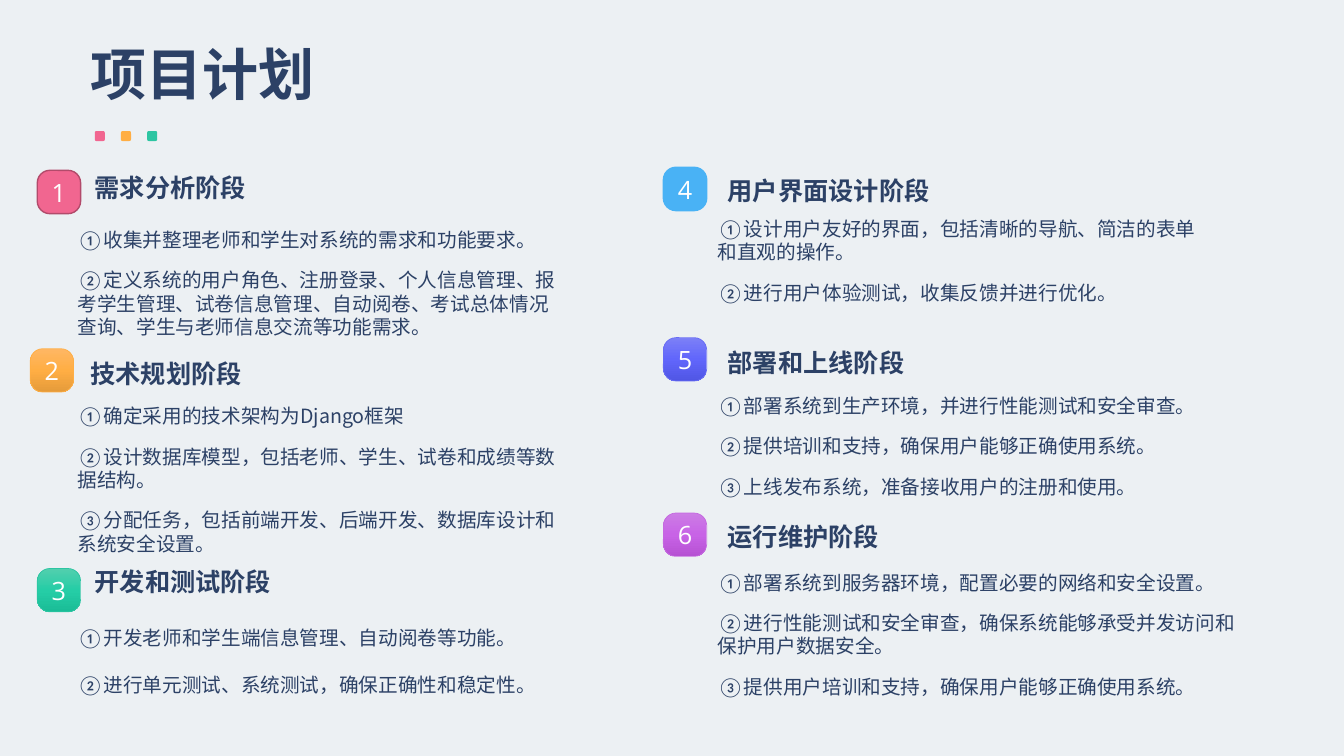
import copy

import pptx
import pptx.dml.color
import pptx.enum.dml
import pptx.enum.shapes
import pptx.enum.text
import pptx.oxml
import pptx.oxml.ns
import pptx.util

RGB = pptx.dml.color.RGBColor
ANCHOR = pptx.enum.text.MSO_ANCHOR
ALIGN = pptx.enum.text.PP_ALIGN

PX = 9144  # 100 px to the inch
NAVY = RGB(0x2C, 0x41, 0x66)
WHITE = RGB(0xFF, 0xFF, 0xFF)
PAPER = RGB(0xEC, 0xF0, 0xF3)
PINK = RGB(0xF1, 0x66, 0x90)
PINK_EDGE = RGB(0xB2, 0x4B, 0x6B)
AMBER = RGB(0xFF, 0xAE, 0x44)
GREEN = RGB(0x2D, 0xC5, 0xA2)
BLUE = RGB(0x49, 0xB2, 0xF5)
INDIGO = RGB(0x68, 0x6D, 0xF4)
PURPLE = RGB(0xC5, 0x69, 0xE0)
AMBER_FADE = [RGB(0xFF, 0xB7, 0x64), AMBER, RGB(0xE5, 0x9B, 0x3A)]
GREEN_FADE = [RGB(0x53, 0xCF, 0xAE), RGB(0x25, 0xCD, 0xA6), RGB(0x1A, 0xBD, 0x97)]
INDIGO_FADE = [RGB(0x7C, 0x80, 0xF7), RGB(0x61, 0x66, 0xFB), RGB(0x50, 0x56, 0xE5)]
PURPLE_FADE = [RGB(0xCC, 0x7D, 0xE5), RGB(0xC8, 0x63, 0xE6), RGB(0xB6, 0x51, 0xD3)]

TITLE = "项目计划"
DOTS = [PINK, AMBER, GREEN]
BADGE = 43
HEADING_SIZE = (363, 40)
CJK_FONT = "Noto Sans CJK SC"

# heading, its left and top, body box, line spacing, marker font, body lines
PHASES = [
    ("需求分析阶段", (84, 166), (67, 221, 501, 121), 1.0, CJK_FONT, [
        "①收集并整理老师和学生对系统的需求和功能要求。",
        "②定义系统的用户角色、注册登录、个人信息管理、报考学生管理、试卷信息管理、"
        "自动阅卷、考试总体情况查询、学生与老师信息交流等功能需求。"]),
    ("技术规划阶段", (80, 351), (67, 396, 501, 161), 1.0, CJK_FONT, [
        "①确定采用的技术架构为Django框架",
        "②设计数据库模型，包括老师、学生、试卷和成绩等数据结构。",
        "③分配任务，包括前端开发、后端开发、数据库设计和系统安全设置。"]),
    ("开发和测试阶段", (84, 557), (67, 609, 524, 88), 1.3, CJK_FONT, [
        "①开发老师和学生端信息管理、自动阅卷等功能。",
        "②进行单元测试、系统测试，确保正确性和稳定性。"]),
    ("用户界面设计阶段", (712, 169), (702, 210, 501, 97), 1.0, "Calibri", [
        "①设计用户友好的界面，包括清晰的导航、简洁的表单和直观的操作。",
        "②进行用户体验测试，收集反馈并进行优化。"]),
    ("部署和上线阶段", (712, 340), (702, 386, 525, 114), 1.0, "Calibri", [
        "①部署系统到生产环境，并进行性能测试和安全审查。",
        "②提供培训和支持，确保用户能够正确使用系统。",
        "③上线发布系统，准备接收用户的注册和使用。"]),
    ("运行维护阶段", (712, 512), (702, 561, 548, 138), 1.0, "Calibri", [
        "①部署系统到服务器环境，配置必要的网络和安全设置。",
        "②进行性能测试和安全审查，确保系统能够承受并发访问和保护用户数据安全。",
        "③提供用户培训和支持，确保用户能够正确使用系统。"]),
]

# left, top, fill colours, line colour, line width
BADGES = [
    (37, 169, [PINK], PINK_EDGE, 1),
    (30, 346, AMBER_FADE, AMBER, 0.5),
    (37, 564, GREEN_FADE, GREEN, 0.5),
    (658, 166, [BLUE], BLUE, 1),
    (658, 335, INDIGO_FADE, INDIGO, 0.5),
    (658, 509, PURPLE_FADE, PURPLE, 0.5),
]


def emu(*lengths):
    return [n * PX for n in lengths]


def add_run(p, text, *, font, size, color=NAVY, bold=False):
    r = p.add_run()
    r.text = text
    r.font.name = font
    r.font.size = pptx.util.Pt(size)
    r.font.bold = bold
    r.font.color.rgb = color
    ea = pptx.oxml.parse_xml(
        f'<a:ea {pptx.oxml.ns.nsdecls("a")} typeface="Calibri"/>')
    r.font._element.find(pptx.oxml.ns.qn("a:latin")).addnext(ea)


def write(tf, lines, *, font, marker=None, align=ALIGN.LEFT, anchor=ANCHOR.TOP,
          spacing=1.0, **style):
    """Fill a text frame; a marker font sets the first character of each line."""
    tf.word_wrap = True
    tf.vertical_anchor = anchor
    for i, line in enumerate(lines):
        p = tf.add_paragraph() if i else tf.paragraphs[0]
        p.alignment = align
        p.line_spacing = spacing
        p.space_before = pptx.util.Pt(12 if i else 0)
        if marker and marker != font:
            add_run(p, line[0], font=marker, **style)
            line = line[1:]
        add_run(p, line, font=font, **style)


def add_text(slide, box, lines, **style):
    tf = slide.shapes.add_textbox(*emu(*box)).text_frame
    write(tf, lines, **style)
    tf.auto_size = pptx.enum.text.MSO_AUTO_SIZE.SHAPE_TO_FIT_TEXT


def fill_shape(sp, colors):
    """Fill with one colour, or with an even top-to-bottom gradient."""
    if len(colors) == 1:
        sp.fill.solid()
        sp.fill.fore_color.rgb = colors[0]
        return
    sp.fill.gradient()
    sp.fill.gradient_angle = 270
    stops = sp._element.spPr.find(
        f'{pptx.oxml.ns.qn("a:gradFill")}/{pptx.oxml.ns.qn("a:gsLst")}')
    while len(stops) < len(colors):
        stops.append(copy.deepcopy(stops[-1]))
    for i, (stop, color) in enumerate(zip(sp.fill.gradient_stops, colors)):
        stop.color.rgb = color
        stop.position = i / (len(colors) - 1)


def add_square(slide, left, top, side, colors, corner):
    sp = slide.shapes.add_shape(
        pptx.enum.shapes.MSO_SHAPE.ROUNDED_RECTANGLE, *emu(left, top, side, side))
    sp.shadow.inherit = False
    sp.adjustments[0] = corner
    fill_shape(sp, colors)
    sp.line.fill.background()
    return sp


def add_badge(slide, number, left, top, colors, edge, width):
    sp = add_square(slide, left, top, BADGE, colors, 0.29)
    sp.line.color.rgb = edge
    sp.line.width = pptx.util.Pt(width)
    tf = sp.text_frame
    tf.margin_left = tf.margin_right = tf.margin_top = tf.margin_bottom = 0
    write(tf, [str(number)], font="Open Sans", size=18, color=WHITE,
          align=ALIGN.CENTER, anchor=ANCHOR.MIDDLE)


def main():
    prs = pptx.Presentation()
    prs.slide_width, prs.slide_height = emu(1333, 750)
    slide = prs.slides.add_slide(prs.slide_layouts[5])
    slide.background.fill.solid()
    slide.background.fill.fore_color.rgb = PAPER

    title = slide.shapes.title
    title.left, title.top, title.width, title.height = emu(80, 34, 480, 45)
    write(title.text_frame, [TITLE], font="Roboto", size=40, bold=True)
    title.text_frame.auto_size = pptx.enum.text.MSO_AUTO_SIZE.NONE

    for i, color in enumerate(DOTS):
        add_square(slide, 94 + 26 * i, 130, 10, [color], 0.17)

    for heading, corner, body, spacing, marker, lines in PHASES:
        add_text(slide, corner + HEADING_SIZE, [heading],
                 font="Roboto", size=18, bold=True)
        add_text(slide, body, lines, font=CJK_FONT, marker=marker, size=14,
                 spacing=spacing)

    for number, badge in enumerate(BADGES, 1):
        add_badge(slide, number, *badge)

    prs.save("out.pptx")


if __name__ == "__main__":
    main()
